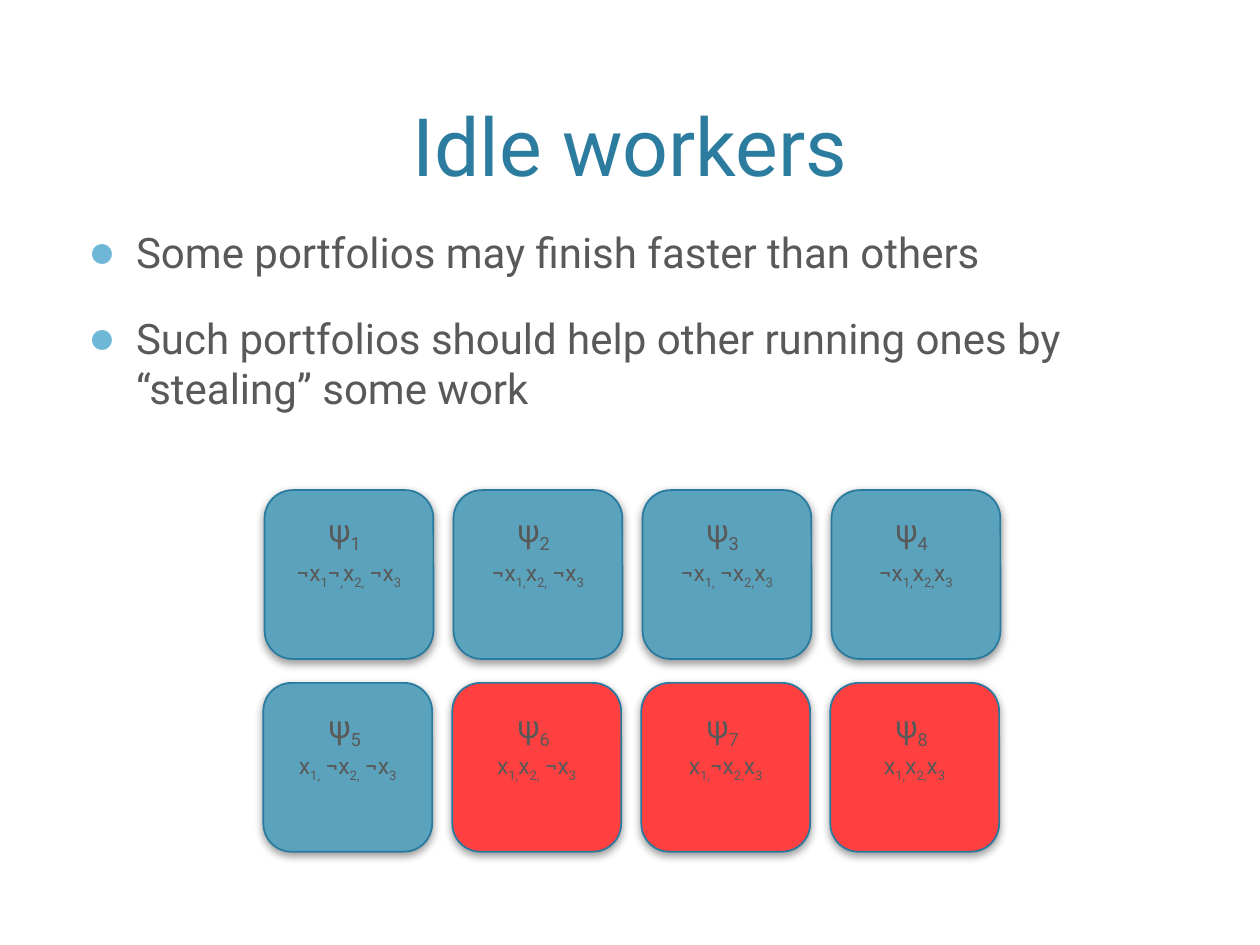
import pptx
import pptx.util
import pptx.dml.color
import pptx.enum.shapes
import pptx.enum.text
import pptx.oxml
import pptx.oxml.ns
from pptx.util import Inches

# Content: "|" switches between normal text and subscript
TITLE = "Idle workers"
BULLETS = [
    "Some portfolios may finish faster than others",
    "Such portfolios should help other running ones by “stealing” some work",
]
WORKERS = [
    [("ψ|1", "¬x|1|¬|,|x|2,| ¬x|3", "busy"),
     ("ψ|2", "¬x|1,|x|2,| ¬x|3", "busy"),
     ("ψ|3", "¬x|1,| ¬x|2,|x|3", "busy"),
     ("ψ|4", "¬x|1,|x|2,|x|3", "busy")],
    [("ψ|5", "x|1,| ¬x|2,| ¬x|3", "busy"),
     ("ψ|6", "x|1,|x|2,| ¬x|3", "idle"),
     ("ψ|7", "x|1,|¬x|2,|x|3", "idle"),
     ("ψ|8", "x|1,|x|2,|x|3", "idle")],
]

# Style
FONT = "Roboto"
TITLE_COLOR, TEXT_COLOR, BULLET_COLOR = "2C7C9F", "595959", "6FB7D7"
LINE_COLOR = "287A9E"
FILLS = {"busy": "5BA2BC", "idle": "FF4040"}

# Grid of workers, in inches
CARD_SIZE, COLUMN_STEP = 1.34, 1.5
ROW_LEFTS, ROW_TOPS = (2.1, 2.09), (3.89, 5.42)
LABEL_LEFT, LABEL_TOPS = 2.51, (4.01, 5.56)


def color(value):
    return pptx.dml.color.RGBColor.from_string(value)


def xml(markup):
    return pptx.oxml.parse_xml(markup.replace(" ", f" {pptx.oxml.ns.nsdecls('a')} ", 1))


def place(shape, left, top, width, height):
    shape.left, shape.top = Inches(left), Inches(top)
    shape.width, shape.height = Inches(width), Inches(height)


def add_text(para, text, size, text_color):
    for index, part in enumerate(text.split("|")):
        span = para.add_run()
        span.text = part
        span.font.name = FONT
        span.font.size = pptx.util.Pt(size)
        span.font.color.rgb = color(text_color)
        if index % 2:
            span._r.get_or_add_rPr().set("baseline", "-25000")


def add_bullet(para, text):
    para.space_before = pptx.util.Pt(20)
    props = para._p.get_or_add_pPr()
    props.set("marL", str(Inches(0.38)))
    props.set("indent", str(Inches(-0.38)))
    props.append(xml(f'<a:buClr ><a:srgbClr val="{BULLET_COLOR}"/></a:buClr>'))
    props.append(xml('<a:buSzPct val="110000"/>'))
    props.append(xml('<a:buFont typeface="Arial"/>'))
    props.append(xml('<a:buChar char="●"/>'))
    add_text(para, text, 24, TEXT_COLOR)


def add_card(page, left, top, formula, fill):
    card = page.shapes.add_shape(
        pptx.enum.shapes.MSO_SHAPE.ROUNDED_RECTANGLE,
        Inches(left), Inches(top), Inches(CARD_SIZE), Inches(CARD_SIZE))
    card.fill.solid()
    card.fill.fore_color.rgb = color(fill)
    card.line.color.rgb = color(LINE_COLOR)
    card.line.width = pptx.util.Pt(1)
    card.shadow.inherit = False
    effects = card._element.spPr.find(pptx.oxml.ns.qn("a:effectLst"))
    effects.append(xml(
        '<a:outerShdw blurRad="63500" dist="25400" dir="5400000" rotWithShape="0">'
        '<a:srgbClr val="000000"><a:alpha val="40000"/></a:srgbClr></a:outerShdw>'))
    card.text_frame.vertical_anchor = pptx.enum.text.MSO_ANCHOR.MIDDLE
    para = card.text_frame.paragraphs[0]
    para.alignment = pptx.enum.text.PP_ALIGN.CENTER
    add_text(para, formula, 13, TEXT_COLOR)


def add_label(page, left, top, text):
    box = page.shapes.add_textbox(Inches(left), Inches(top), Inches(0.57), Inches(0.4))
    box.text_frame.word_wrap = True
    add_text(box.text_frame.paragraphs[0], text, 18, TEXT_COLOR)


def main():
    deck = pptx.Presentation()
    deck.slide_width, deck.slide_height = Inches(10), Inches(7.5)
    page = deck.slides.add_slide(deck.slide_layouts[1])

    # Title
    title = page.shapes.title
    place(title, 0.6, 0.12, 8.8, 1.46)
    title.text_frame.auto_size = pptx.enum.text.MSO_AUTO_SIZE.NONE
    title.text_frame.vertical_anchor = pptx.enum.text.MSO_ANCHOR.BOTTOM
    para = title.text_frame.paragraphs[0]
    para.alignment = pptx.enum.text.PP_ALIGN.CENTER
    add_text(para, TITLE, 46, TITLE_COLOR)

    # Bullets
    body = page.placeholders[1]
    place(body, 0.6, 1.75, 8.8, 1.69)
    frame = body.text_frame
    frame.auto_size = pptx.enum.text.MSO_AUTO_SIZE.NONE
    for index, text in enumerate(BULLETS):
        add_bullet(frame.add_paragraph() if index else frame.paragraphs[0], text)

    # Worker cards with their labels
    for row, workers in enumerate(WORKERS):
        for column, (label, formula, state) in enumerate(workers):
            shift = column * COLUMN_STEP
            add_card(page, ROW_LEFTS[row] + shift, ROW_TOPS[row], formula, FILLS[state])
            add_label(page, LABEL_LEFT + shift, LABEL_TOPS[row], label)

    deck.save("out.pptx")


if __name__ == "__main__":
    main()
